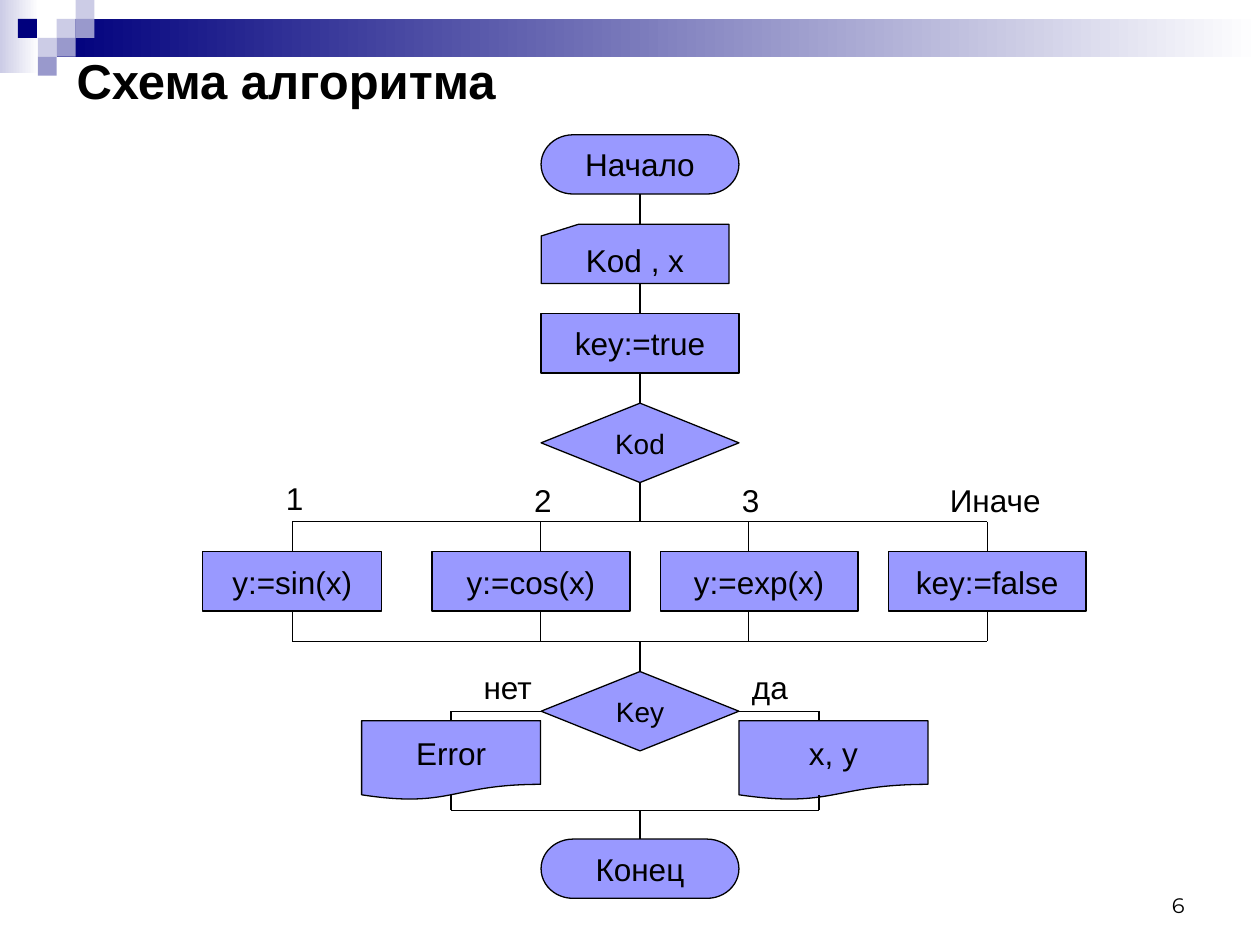
from lxml.etree import SubElement
from pptx import Presentation
from pptx.dml.color import RGBColor
from pptx.enum.shapes import MSO_CONNECTOR, MSO_SHAPE as SHAPE
from pptx.enum.text import MSO_ANCHOR as ANCHOR, MSO_AUTO_SIZE, PP_ALIGN as ALIGN
from pptx.oxml.ns import qn
from pptx.util import Inches, Pt

TITLE, PAGE_NUMBER = "Схема алгоритма", "6"
NAVY, LILAC, PALE, NODE_FILL, INK = "00007D", "9999CC", "CCCCE6", "9999FF", "000000"

# Decoration: checker cells as column, row, colour
CELL = 0.15
CHECKERS = [(3, 1, PALE), (4, 0, PALE), (4, 1, LILAC), (2, 2, PALE),
            (0.95, 1, NAVY), (3, 2, LILAC), (2, 3, LILAC)]
FADES = [((0, 0, 0.31, 0.58), PALE), ((0.45, 0.15, 9.55, 0.3), NAVY)]

# Flowchart grid
AXIS = 5.08
WIDTH, HEIGHT, TALL = 1.57, 0.47, 0.63
LEFT, RIGHT = AXIS - WIDTH / 2, AXIS + WIDTH / 2
TOP, STEP = 1.07, 0.71
BRANCH_TOP, CHECK_TOP, OUTPUT_TOP = 4.38, 5.33, 5.72
SPLIT, MERGE, CHECK, JOIN = 4.14, 5.09, CHECK_TOP + TALL / 2, 6.43
NO_X, YES_X = 3.58, 6.5

# name: preset, text, left, top, width, height
NODES = {
    "start": (SHAPE.FLOWCHART_TERMINATOR, "Начало", LEFT, TOP, WIDTH, HEIGHT),
    "input": (SHAPE.FLOWCHART_CARD, "Kod , x", LEFT, TOP + STEP, 1.49, HEIGHT),
    "init": (SHAPE.RECTANGLE, "key:=true", LEFT, TOP + 2 * STEP, WIDTH, HEIGHT),
    "choice": (SHAPE.DIAMOND, "Kod", LEFT, TOP + 3 * STEP, WIDTH, TALL),
    "check": (SHAPE.DIAMOND, "Key", LEFT, CHECK_TOP, WIDTH, TALL),
    "end": (SHAPE.FLOWCHART_TERMINATOR, "Конец", LEFT, 6.66, WIDTH, HEIGHT),
    "error": (SHAPE.FLOWCHART_DOCUMENT, "Error", 2.87, OUTPUT_TOP, 1.42, TALL),
    "result": (SHAPE.FLOWCHART_DOCUMENT, "x, y", RIGHT, OUTPUT_TOP, 1.5, TALL),
}
# name, text, left, width
BRANCHES = [("sin", "y:=sin(x)", 1.61, 1.42), ("cos", "y:=cos(x)", 3.43, WIDTH),
            ("exp", "y:=exp(x)", 5.24, WIDTH), ("false", "key:=false", 7.05, WIDTH)]
for name, text, left, width in BRANCHES:
    NODES[name] = (SHAPE.RECTANGLE, text, left, BRANCH_TOP, width, HEIGHT)
FIRST_X, LAST_X = [left + width / 2 for _, _, left, width in (BRANCHES[0], BRANCHES[-1])]
STUBS = [(FIRST_X, "sin"), (4.29, None), (5.94, None), (LAST_X, "false")]

# text, left, top, width
LABELS = [("да", 5.87, 5.25, 0.63), ("нет", 3.74, 5.25, 0.63), ("2", 4.14, 3.77, 0.4),
          ("1", 2.17, 3.75, 0.4), ("3", 5.79, 3.77, 0.4), ("Иначе", 7.44, 3.77, 1)]

# Each end is a point (x, y) or a joined side (node name, side)
UP, WEST, DOWN, EAST = range(4)
LINES = [
    (("start", DOWN), (AXIS, TOP + STEP)),
    ((AXIS, TOP + STEP + HEIGHT), ("init", UP)),
    (("init", DOWN), ("choice", UP)),
    (("choice", DOWN), (AXIS, SPLIT)),
    ((FIRST_X, SPLIT), (LAST_X, SPLIT)),
    ((FIRST_X, MERGE), (LAST_X, MERGE)),
    ((AXIS, MERGE), ("check", UP)),
    (("check", EAST), (YES_X, CHECK)),
    (("check", WEST), (NO_X, CHECK)),
    ((NO_X, JOIN), (YES_X, JOIN)),
    ((AXIS, JOIN), ("end", UP)),
]
for x in (NO_X, YES_X):
    LINES += [((x, CHECK), (x, OUTPUT_TOP)), ((x, 6.31), (x, JOIN))]
for x, name in STUBS:
    LINES += [((x, SPLIT), (name, UP) if name else (x, BRANCH_TOP)),
              ((name, DOWN) if name else (x, BRANCH_TOP + HEIGHT), (x, MERGE))]


def rgb(colour):
    return RGBColor.from_string(colour)


def inches(*lengths):
    return [Inches(length) for length in lengths]


def write(shape, text, size=18, font="Arial", bold=False, align=ALIGN.LEFT, **frame_format):
    frame = shape.text_frame
    for key, value in frame_format.items():
        setattr(frame, key, value)
    paragraph = frame.paragraphs[0]
    paragraph.alignment = align
    run = paragraph.add_run()
    run.text = text
    for key, value in {"size": Pt(size), "name": font, "bold": bold}.items():
        setattr(run.font, key, value)
    run.font.color.rgb = rgb(INK)


def add_block(slide, preset, box, fill, outline=None, fade=False):
    shape = slide.shapes.add_shape(preset, *inches(*box))
    shape.shadow.inherit = False
    if fade:
        shape.fill.gradient()
        shape.fill.gradient_angle = 0
        for stop, colour in zip(shape.fill.gradient_stops, (fill, "FFFFFF")):
            stop.color.rgb = rgb(colour)
    else:
        shape.fill.solid()
        shape.fill.fore_color.rgb = rgb(fill)
    if outline:
        shape.line.color.rgb = rgb(outline)
        shape.line.width = Pt(0.75)
    else:
        shape.line.fill.background()
    return shape


def add_line(slide, nodes, begin, end):
    """Draw a line, joining every end that names a node."""
    points = [(0, 0) if isinstance(spot[0], str) else spot for spot in (begin, end)]
    line = slide.shapes.add_connector(MSO_CONNECTOR.STRAIGHT, *inches(*points[0], *points[1]))
    for spot, connect in ((begin, line.begin_connect), (end, line.end_connect)):
        if isinstance(spot[0], str):
            connect(nodes[spot[0]], spot[1])
    line.line.color.rgb = rgb(INK)
    line.line.width = Pt(0.75)
    SubElement(line._element.spPr, qn("a:effectLst"))


def main():
    presentation = Presentation()
    presentation.slide_width, presentation.slide_height = inches(10, 7.5)
    slide = presentation.slides.add_slide(presentation.slide_layouts[6])

    for box, colour in FADES:
        add_block(slide, SHAPE.RECTANGLE, box, colour, fade=True)
    for column, row, colour in CHECKERS:
        add_block(slide, SHAPE.RECTANGLE, (column * CELL, row * CELL, CELL, CELL), colour)

    write(slide.shapes.add_textbox(*inches(7.17, 6.83, 2.33, 0.5)), PAGE_NUMBER, 12,
          "Montserrat", align=ALIGN.RIGHT, vertical_anchor=ANCHOR.BOTTOM, word_wrap=True)
    write(slide.shapes.add_textbox(*inches(0.51, 0.44, 9.49, 0.39)), TITLE, 28,
          bold=True, vertical_anchor=ANCHOR.MIDDLE, word_wrap=True)

    nodes = {}
    for name, (preset, text, *box) in NODES.items():
        nodes[name] = add_block(slide, preset, box, NODE_FILL, INK)
        write(nodes[name], text, 16 if preset == SHAPE.DIAMOND else 18,
              align=ALIGN.CENTER, vertical_anchor=ANCHOR.MIDDLE, word_wrap=False)
    for begin, end in LINES:
        add_line(slide, nodes, begin, end)
    for text, left, top, width in LABELS:
        write(slide.shapes.add_textbox(*inches(left, top, width, 0.4)), text,
              word_wrap=True, auto_size=MSO_AUTO_SIZE.SHAPE_TO_FIT_TEXT)

    presentation.save("out.pptx")


if __name__ == "__main__":
    main()
